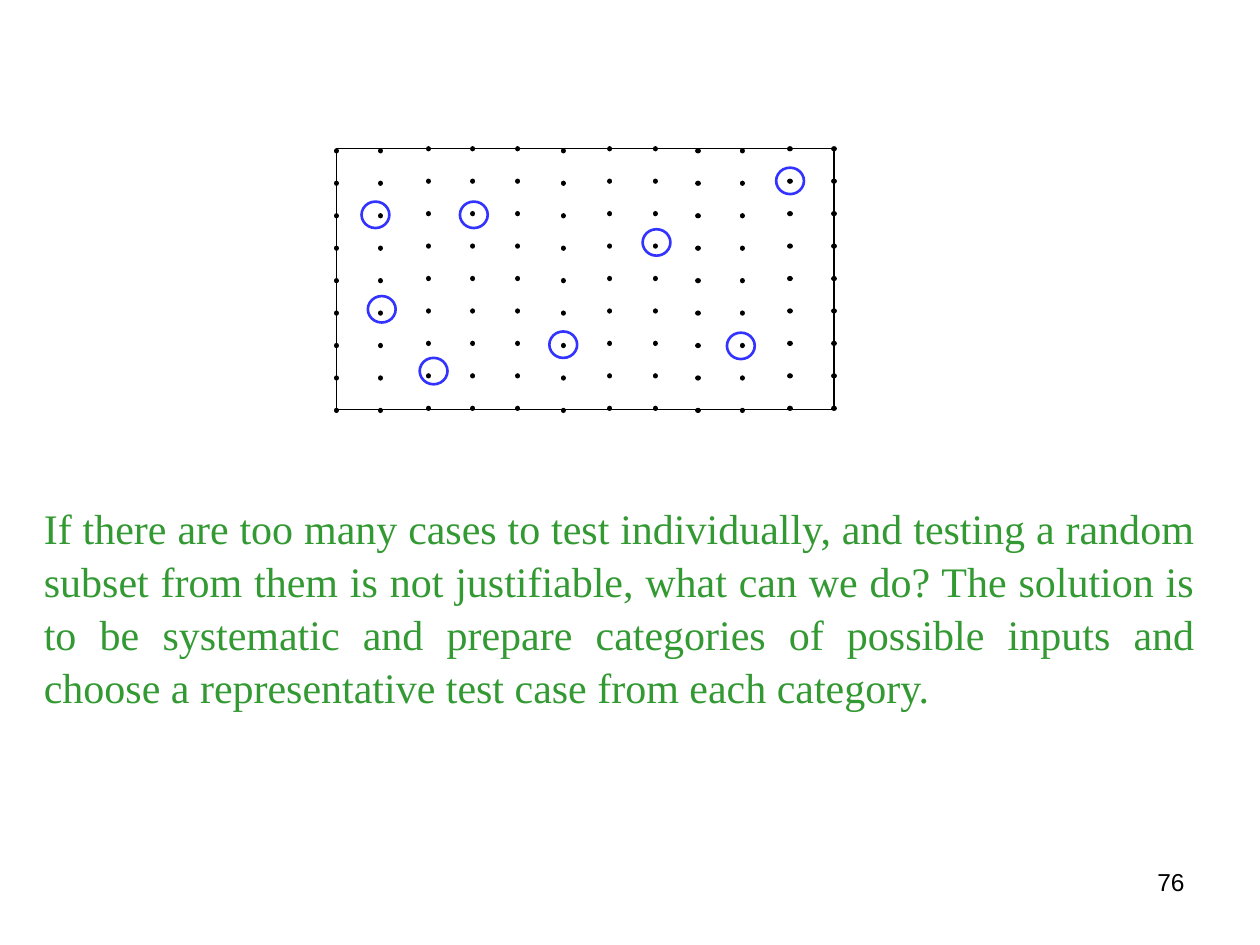
from lxml import etree
from pptx import Presentation
from pptx.dml.color import RGBColor
from pptx.enum.dml import MSO_LINE
from pptx.enum.shapes import MSO_CONNECTOR, MSO_SHAPE
from pptx.enum.text import PP_ALIGN
from pptx.oxml.ns import qn
from pptx.util import Pt

STRAIGHT = MSO_CONNECTOR.STRAIGHT
RECT, OVAL = MSO_SHAPE.RECTANGLE, MSO_SHAPE.OVAL
DOTS = MSO_LINE.ROUND_DOT
JUSTIFY, RIGHT = PP_ALIGN.JUSTIFY, PP_ALIGN.RIGHT

ADVICE = (
    "If there are too many cases to test individually, and testing a random "
    "subset from them is not justifiable, what can we do? The solution is to "
    "be systematic and prepare categories of possible inputs and choose a "
    "representative test case from each category."
)
PAGE = "76"

THEME = {
    "ink": RGBColor(0x00, 0x00, 0x00),
    "ring": RGBColor(0x33, 0x33, 0xFF),
    "advice": RGBColor(0x33, 0x99, 0x33),
    "thin": 0.75, "ring_width": 1.5, "dot_width": 3,
    "advice_font": "Times New Roman", "advice_size": 24,
    "page_font": "Arial", "page_size": 14,
}

FRAME = (192.2, 85, 284.8, 149)
COLUMNS = [192.2, 217.4, 244.8, 270.2, 295.9, 321.8,
           348.5, 374.4, 398.9, 424.1, 451.4, 476.6]
LOWERED = {0, 1, 5, 8, 9}
ROWS, ROW_GAP, LOWER_BY, MARK = 9, 18.54, 1.2, 5.76
EDGES = {0: (85, 235.4), 11: (84.2, 234)}
RINGS = [(206.6, 115.2), (210.2, 169.2), (239.8, 204.5), (262.8, 115.2),
         (313.9, 189.4), (367.2, 131), (443.5, 95.8), (415.4, 190.1)]
RING_SIZE = (15.9, 15.1)


def points(*values):
    return [Pt(v) for v in values]


def style_line(line, color, width):
    line.color.rgb = color
    line.width = Pt(width)


def add_outline(shapes, kind, box, color, width):
    s = shapes.add_shape(kind, *points(*box))
    s.shadow.inherit = False
    s.fill.background()
    style_line(s.line, color, width)


def add_vertical(shapes, x, top, bottom, width):
    c = shapes.add_connector(STRAIGHT, *points(x, top, x, bottom))
    style_line(c.line, THEME["ink"], width)
    etree.SubElement(c._element.spPr, qn("a:effectLst"))
    return c


def add_mark(shapes, x, top):
    c = add_vertical(shapes, x, top, top + MARK, THEME["dot_width"])
    c.line.dash_style = DOTS
    c._element.spPr.find(qn("a:ln")).set("cap", "rnd")


def add_text(shapes, text, box, font, color, paragraph):
    tf = shapes.add_textbox(*points(*box)).text_frame
    tf.word_wrap = True
    p = tf.paragraphs[0]
    for name, value in paragraph.items():
        setattr(p, name, value)
    r = p.add_run()
    r.text = text
    for name, value in font.items():
        setattr(r.font, name, value)
    r.font.color.rgb = color


def main():
    prs = Presentation()
    prs.slide_width, prs.slide_height = points(720, 540)
    slide = prs.slides.add_slide(prs.slide_layouts[6])

    grid = slide.shapes.add_group_shape().shapes
    add_outline(grid, RECT, FRAME, THEME["ink"], THEME["thin"])
    for i, x in enumerate(COLUMNS):
        if i in EDGES:
            add_vertical(grid, x, *EDGES[i], THEME["thin"])
        top = FRAME[1] + (LOWER_BY if i in LOWERED else 0)
        for row in range(ROWS):
            add_mark(grid, x, top + row * ROW_GAP)

    for corner in RINGS:
        add_outline(slide.shapes, OVAL, corner + RING_SIZE,
                    THEME["ring"], THEME["ring_width"])

    add_text(slide.shapes, ADVICE, (18, 282.2, 671.8, 122.4),
             {"name": THEME["advice_font"], "size": Pt(THEME["advice_size"])},
             THEME["advice"], {"alignment": JUSTIFY, "line_spacing": 1.05})
    add_text(slide.shapes, PAGE, (516.2, 491.8, 167.8, 37.4),
             {"name": THEME["page_font"], "size": Pt(THEME["page_size"])},
             THEME["ink"], {"alignment": RIGHT})
    prs.save("out.pptx")


if __name__ == "__main__":
    main()
